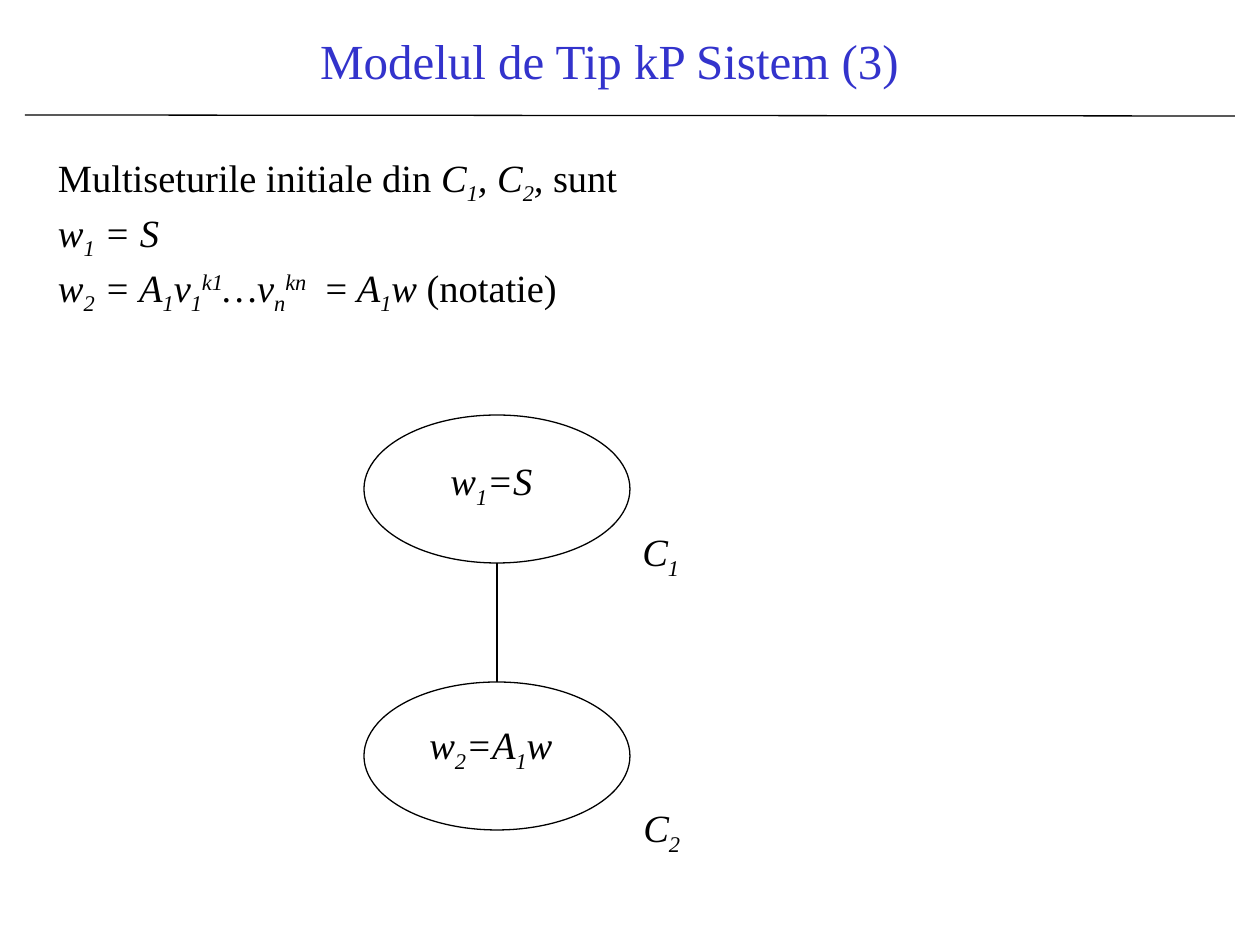
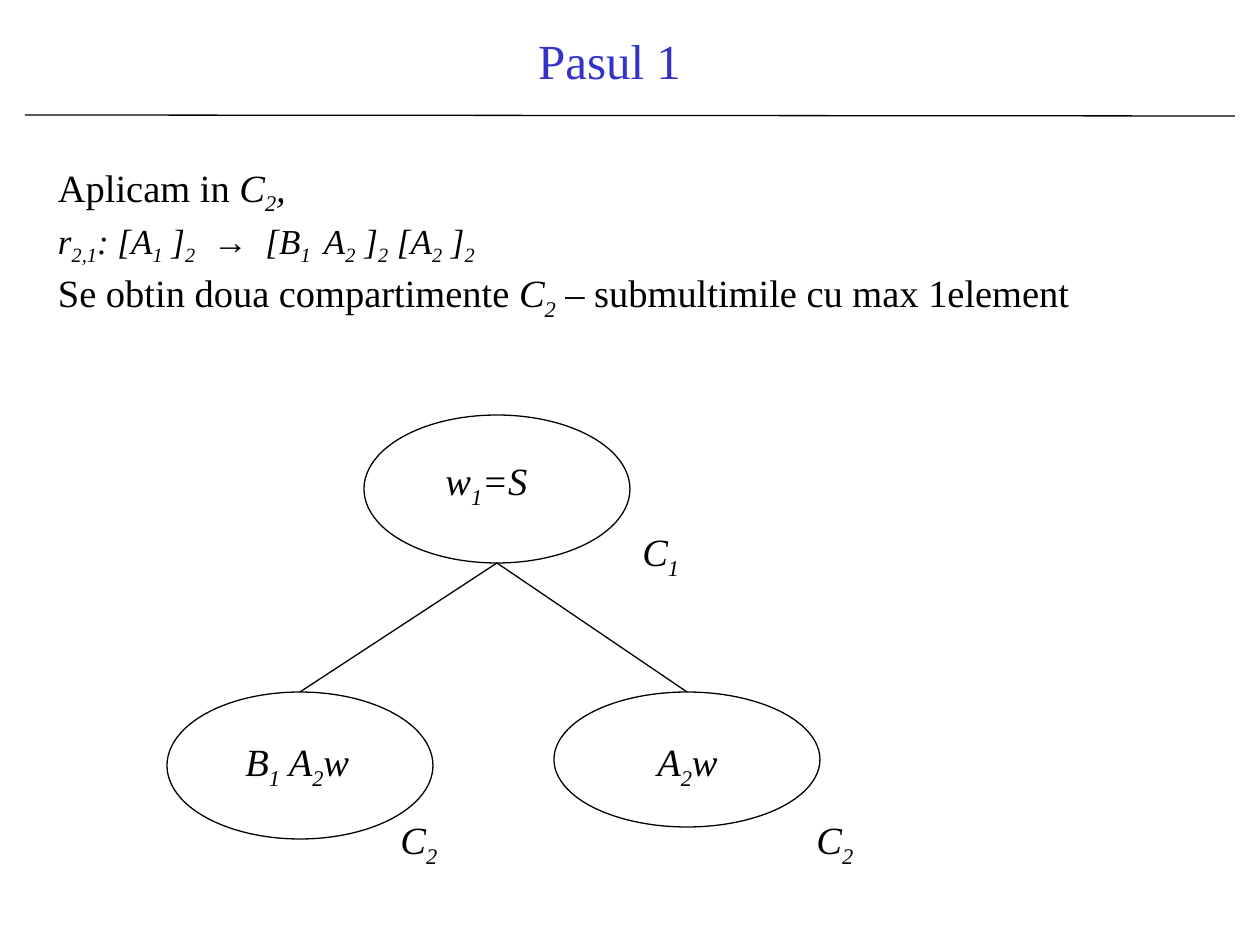
"""Build two slides on a kP system: its initial multisets and its first step."""
from lxml.etree import SubElement
from pptx import Presentation
from pptx.dml.color import RGBColor
from pptx.enum.shapes import MSO_CONNECTOR, MSO_SHAPE
from pptx.enum.text import MSO_ANCHOR, MSO_AUTO_SIZE, PP_ALIGN
from pptx.oxml.ns import qn
from pptx.util import Emu, Pt

COLORS = {"title": "3333CC", "ink": "000000"}
FONT = "Times New Roman"
BODY_SIZE = 22
BASELINES = {"/": 0, "_": -25000, "^": 30000}
ROOT = (364, 415, 266, 148)

SLIDES = [
    {
        "title": "Modelul de Tip kP Sistem (3)",
        "rows": (171, 69),
        "body": [
            ("Multiseturile initiale din |/C|_1|/, C|_2|/, |sunt", 22),
            ("/w|_1|/ = S", 22),
            ("/w|_2|/ = A|_1|/v|_1|^k1|/…v|_n|^kn|  = |/A|_1|/w |(notatie)", 22),
        ],
        "children": [(364, 682, 266, 148)],
        "labels": [
            ("/w|_1|/=S", (438, 451, 144, 59)),
            ("/C|_1", (630, 522, 77, 59)),
            ("/w|_2|/=A|_1|/w", (417, 715, 164, 59)),
            ("/C|_2", (631, 798, 77, 59)),
        ],
    },
    {
        "title": "Pasul 1",
        "rows": (187, 91),
        "body": [
            ("Aplicam in|/ C|_2|/,", 22),
            ("/r|_2,1|/: [A|_1|/ ]|_2|/  →  [B|_1 |/ A|_2|/ ]|_2|/ [A|_2|/ ]|_2", 20),
            ("Se obtin doua compartimente |/C|_2| – submultimile cu max 1element", 22),
        ],
        "children": [(167, 692, 266, 147), (554, 692, 266, 135)],
        "labels": [
            ("/w|_1|/=S", (433, 451, 160, 106)),
            ("/C|_1", (630, 522, 77, 59)),
            ("/B|_1|/ A|_2|/w", (233, 732, 223, 59)),
            ("/C|_2", (388, 810, 77, 59)),
            ("/A|_2|/w", (645, 732, 179, 59)),
            ("/C|_2", (804, 810, 77, 59)),
        ],
    },
]


def px(length):
    return Emu(round(length * 914400 / 126))


def box(lengths):
    return [px(length) for length in lengths]


def color(name):
    return RGBColor.from_string(COLORS[name])


def write(paragraph, formula, size=BODY_SIZE, ink="ink"):
    paragraph.font.name = FONT
    paragraph.font.size = Pt(size)
    paragraph.font.color.rgb = color(ink)
    for part in formula.split("|"):
        run = paragraph.add_run()
        if part[0] not in BASELINES:
            run.text = part
            continue
        run.text = part[1:]
        run.font.italic = True
        if BASELINES[part[0]]:
            run._r.get_or_add_rPr().set("baseline", str(BASELINES[part[0]]))


def add_title(slide, title):
    frame = slide.shapes.add_textbox(*box((74, 0, 1071, 120))).text_frame
    frame.word_wrap = True
    frame.vertical_anchor = MSO_ANCHOR.MIDDLE
    frame.paragraphs[0].alignment = PP_ALIGN.CENTER
    write(frame.paragraphs[0], title, 28, "title")


def add_body(slide, lines, heights):
    table = slide.shapes.add_table(2, 2, *box((45, 139, 1216, sum(heights)))).table
    table.first_row = table.horz_banding = False
    for column, width in zip(table.columns, (1159, 57)):
        column.width = px(width)
    for row, height in zip(table.rows, heights):
        row.height = px(height)
    for cell in table.iter_cells():
        cell.fill.background()
    cell = table.cell(0, 0)
    cell.vertical_anchor = MSO_ANCHOR.BOTTOM
    cell.margin_left = cell.margin_right = px(13)
    cell.margin_top, cell.margin_bottom = px(8), px(6)
    for index, (formula, size) in enumerate(lines):
        frame = cell.text_frame
        paragraph = frame.add_paragraph() if index else frame.paragraphs[0]
        paragraph.line_spacing = 0.95
        paragraph.space_before = Pt(5)
        write(paragraph, formula, size)


def outline(shape):
    shape.line.color.rgb = color("ink")
    shape.line.width = Pt(0.75)


def add_line(slide, *ends):
    connector = slide.shapes.add_connector(MSO_CONNECTOR.STRAIGHT, *box(ends))
    outline(connector)
    SubElement(connector._element.spPr, qn("a:effectLst"))
    return connector


def add_membrane(slide, place):
    ellipse = slide.shapes.add_shape(MSO_SHAPE.OVAL, *box(place))
    ellipse.shadow.inherit = False
    ellipse.fill.background()
    outline(ellipse)
    return ellipse


def add_tree(slide, children):
    left, top, width, height = ROOT
    add_membrane(slide, ROOT)
    for child in children:
        membrane = add_membrane(slide, child)
        link = add_line(slide, left + width // 2, top + height,
                        child[0] + child[2] // 2, child[1])
        link.end_connect(membrane, 0)


def add_label(slide, formula, place):
    frame = slide.shapes.add_textbox(*box(place)).text_frame
    frame.word_wrap = True
    frame.auto_size = MSO_AUTO_SIZE.SHAPE_TO_FIT_TEXT
    write(frame.paragraphs[0], formula)


def main():
    presentation = Presentation()
    presentation.slide_width, presentation.slide_height = box((1260, 945))
    for content in SLIDES:
        slide = presentation.slides.add_slide(presentation.slide_layouts[6])
        add_title(slide, content["title"])
        add_body(slide, content["body"], content["rows"])
        add_line(slide, 25, 115, 1235, 116)
        add_tree(slide, content["children"])
        for formula, place in content["labels"]:
            add_label(slide, formula, place)
    presentation.save("out.pptx")


if __name__ == "__main__":
    main()
